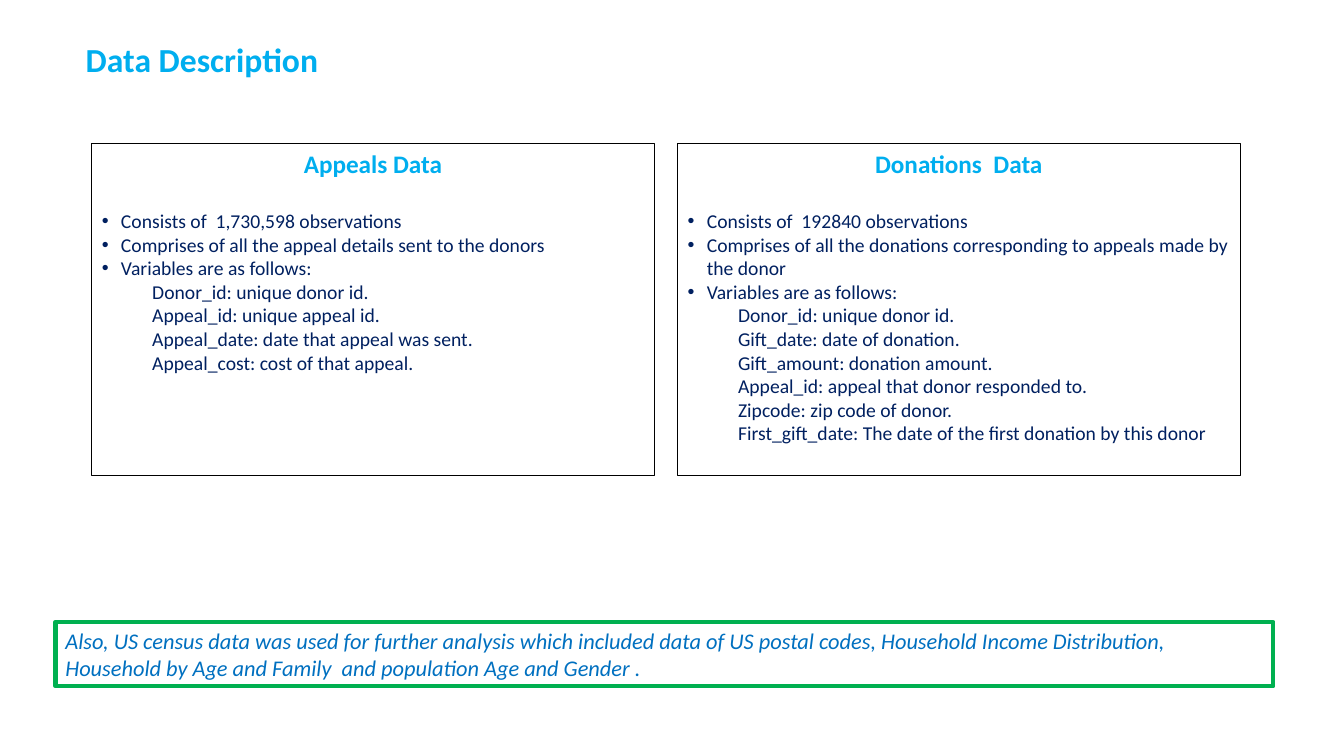
from lxml.etree import SubElement
from pptx import Presentation
from pptx.dml.color import RGBColor
from pptx.enum.text import MSO_ANCHOR, MSO_AUTO_SIZE, PP_ALIGN
from pptx.oxml.ns import qn
from pptx.util import Inches, Pt

WIDTH, HEIGHT = 13.33, 7.5
COLORS = {"heading": "00AEEF", "body": "002060", "note": "0070C0",
          "panel_line": "000000", "note_line": "00B050"}

# Font formats by role
FONTS = {
    "title": {"name": "Calibri", "size": Pt(24), "bold": True},
    "heading": {"name": "Calibri", "size": Pt(18), "bold": True},
    "body": {"name": "Calibri", "size": Pt(14), "bold": False},
    "note": {"name": "Calibri", "size": Pt(16), "italic": True},
}

# Two panels in equal columns: left edge, top, width, height, gap
PANEL_LEFT, PANEL_TOP, PANEL_WIDTH, PANEL_HEIGHT, PANEL_GAP = 0.91, 1.42, 5.58, 3.3, 0.23
PANELS = [
    ("Appeals Data",
     ["Consists of  1,730,598 observations",
      "Comprises of all the appeal details sent to the donors",
      "Variables are as follows:"],
     ["Donor_id: unique donor id.",
      "Appeal_id: unique appeal id.",
      "Appeal_date: date that appeal was sent.",
      "Appeal_cost: cost of that appeal."]),
    ("Donations  Data",
     ["Consists of  192840 observations",
      "Comprises of all the donations corresponding to appeals made by the donor",
      "Variables are as follows:"],
     ["Donor_id: unique donor id.",
      "Gift_date: date of donation.",
      "Gift_amount: donation amount.",
      "Appeal_id: appeal that donor responded to.",
      "Zipcode: zip code of donor.",
      "First_gift_date: The date of the first donation by this donor"]),
]
NOTE = ("Also, US census data was used for further analysis which included data of "
        "US postal codes, Household Income Distribution, Household by Age and Family  "
        "and population Age and Gender .")


def apply_format(target, values):
    for name, value in values.items():
        setattr(target, name, value)


def place(shape, box, anchor=MSO_ANCHOR.TOP):
    """Move a shape to its box and fix how its text sits in it."""
    sides = ("left", "top", "width", "height")
    apply_format(shape, dict(zip(sides, map(Inches, box))))
    apply_format(shape.text_frame, {"word_wrap": True, "vertical_anchor": anchor,
                                    "auto_size": MSO_AUTO_SIZE.NONE})


def outline(shape, color, width):
    shape.line.color.rgb = RGBColor.from_string(COLORS[color])
    shape.line.width = Pt(width)


def write(paragraph, text, role, color, **layout):
    run = paragraph.add_run()
    run.text = text
    apply_format(run.font, FONTS[role])
    run.font.color.rgb = RGBColor.from_string(COLORS[color])
    apply_format(paragraph, {"space_before": Pt(0), **layout})


def set_bullet(paragraph, margin, hanging=0, character=None):
    properties = paragraph._p.get_or_add_pPr()
    properties.set("marL", str(Inches(margin)))
    properties.set("indent", str(-Inches(hanging)))
    if character:
        SubElement(properties, qn("a:buChar")).set("char", character)
    else:
        SubElement(properties, qn("a:buNone"))


def add_title(shape, box, text):
    place(shape, box, MSO_ANCHOR.BOTTOM)
    write(shape.text_frame.paragraphs[0], text, "title", "heading",
          alignment=PP_ALIGN.LEFT, line_spacing=0.8)


def add_panel(shape, box, heading, facts, variables):
    place(shape, box)
    outline(shape, "panel_line", 0.75)
    frame = shape.text_frame
    # Centred heading
    paragraph = frame.paragraphs[0]
    write(paragraph, heading, "heading", "heading",
          alignment=PP_ALIGN.CENTER, space_after=Pt(22))
    set_bullet(paragraph, 0)
    # Bulleted facts
    for fact in facts:
        paragraph = frame.add_paragraph()
        write(paragraph, fact, "body", "body")
        set_bullet(paragraph, 0.19, 0.19, "•")
    # Indented variables
    for variable in variables:
        paragraph = frame.add_paragraph()
        write(paragraph, variable, "body", "body", level=1)
        set_bullet(paragraph, 0.5)


def add_note(slide, box, text):
    shape = slide.shapes.add_textbox(*map(Inches, box))
    place(shape, box)
    outline(shape, "note_line", 3)
    write(shape.text_frame.paragraphs[0], text, "note", "note")


def main():
    presentation = Presentation()
    presentation.slide_width = Inches(WIDTH)
    presentation.slide_height = Inches(HEIGHT)
    slide = presentation.slides.add_slide(
        presentation.slide_layouts.get_by_name("Two Content"))
    title, *bodies = slide.placeholders

    add_title(title, (0.75, 0.25, 7.14, 0.58), "Data Description")
    for column, (body, panel) in enumerate(zip(bodies, PANELS)):
        left = PANEL_LEFT + column * (PANEL_WIDTH + PANEL_GAP)
        add_panel(body, (left, PANEL_TOP, PANEL_WIDTH, PANEL_HEIGHT), *panel)
    add_note(slide, (0.55, 6.17, 12.08, 0.64), NOTE)

    presentation.save("out.pptx")


if __name__ == "__main__":
    main()
